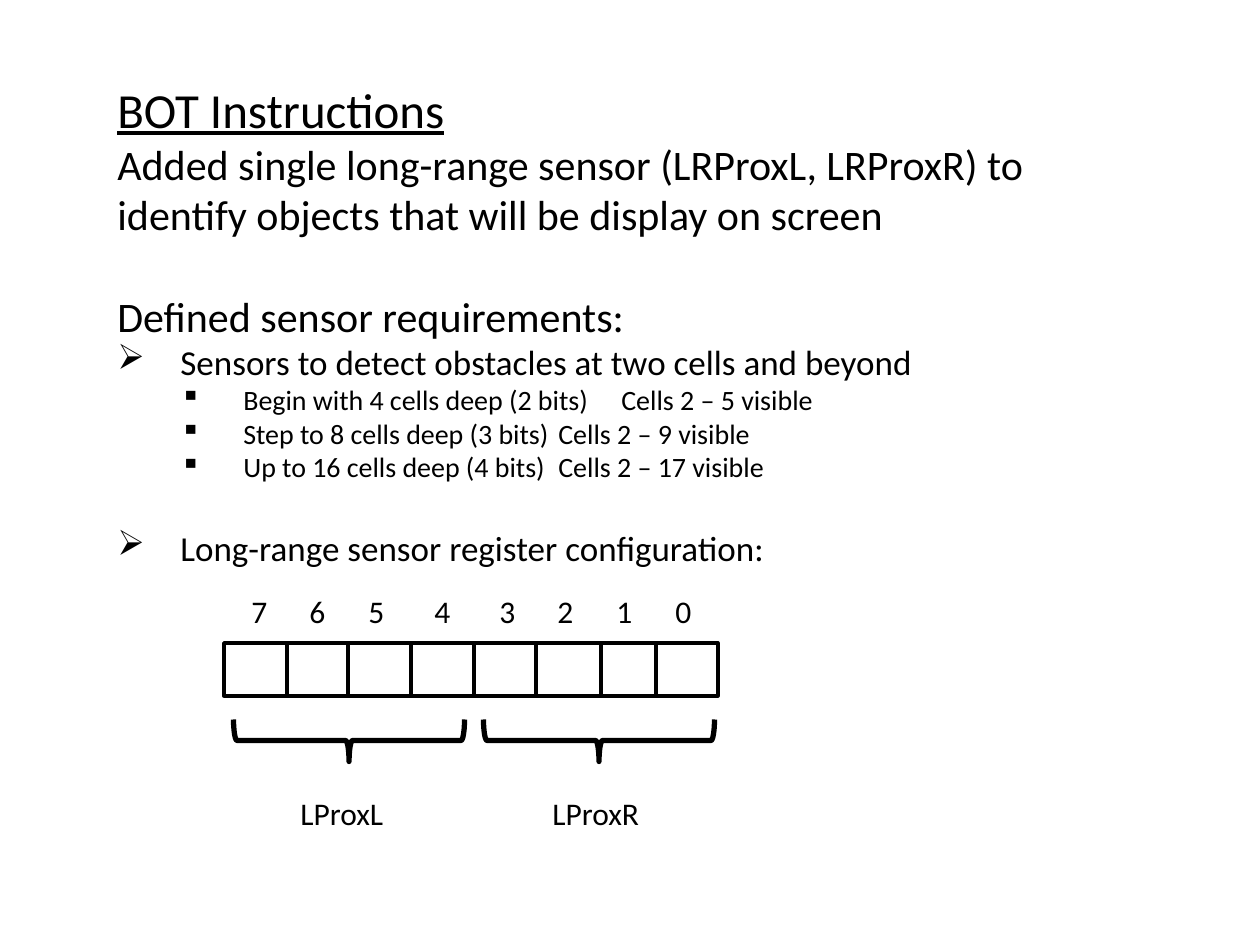
from lxml import etree
from pptx import Presentation
from pptx.dml.color import RGBColor
from pptx.enum.shapes import MSO_CONNECTOR, MSO_SHAPE
from pptx.oxml.ns import qn
from pptx.util import Pt

PX = 914400 // 126
STRAIGHT = MSO_CONNECTOR.STRAIGHT
RECTANGLE = MSO_SHAPE.RECTANGLE
RIGHT_BRACE = MSO_SHAPE.RIGHT_BRACE
FONT = "Calibri"
BLACK = "000000"
INDENT = 63

# text, size, bullet, level, space before in points
INSTRUCTIONS = [
    ("BOT Instructions\vAdded single long-range sensor (LRProxL, LRProxR) to "
     "identify objects that will be display on screen", 24, None, 0, 0),
    ("Defined sensor requirements:", 24, None, 0, 29.3),
    ("Sensors to detect obstacles at two cells and beyond", 20, "➢", 1, 0),
    ("Begin with 4 cells deep (2 bits)\tCells 2 – 5 visible", 16, "▪", 2, 0),
    ("Step to 8 cells deep (3 bits)\tCells 2 – 9 visible", 16, "▪", 2, 0),
    ("Up to 16 cells deep (4 bits)\tCells 2 – 17 visible", 16, "▪", 2, 0),
    ("Long-range sensor register configuration:", 20, "➢", 1, 24.4),
]
TITLE_SIZE = 28
REGISTER = (224, 643, 494, 53)
DIVIDERS = [287, 348, 411, 474, 536, 601, 656]
TABBED_LABELS = [
    (["7", "6", "5", "4", "3", "2", "1", "0"], (239, 586, 475, 50),
     [58, 117, 183, 248, 306, 365, 424]),
    (["LProxL", "LProxR"], (288, 788, 368, 50), [252]),
]
BRACES = [(328, 625, 42, 231), (578, 625, 42, 231)]


def px(*values):
    return [value * PX for value in values]


def color(value):
    return RGBColor.from_string(value)


def style_line(shape, width):
    shape.line.color.rgb = color(BLACK)
    shape.line.width = Pt(width)


def style_runs(paragraph, size):
    for run in paragraph.runs:
        run.font.name = FONT
        run.font.size = Pt(size)
        run.font.color.rgb = color(BLACK)


def add_text_frame(slide, box):
    text_frame = slide.shapes.add_textbox(*px(*box)).text_frame
    text_frame.word_wrap = True
    return text_frame


def add_outline(shapes, kind, box, width):
    shape = shapes.add_shape(kind, *px(*box))
    shape.shadow.inherit = False
    shape.fill.background()
    style_line(shape, width)
    return shape


def add_instructions(slide):
    text_frame = add_text_frame(slide, (105, 73, 1061, 547))
    for index, (text, size, bullet, level, space) in enumerate(INSTRUCTIONS):
        paragraph = text_frame.add_paragraph() if index else text_frame.paragraphs[0]
        paragraph.text = text
        paragraph.space_before = Pt(space)
        style_runs(paragraph, size)
        if bullet:
            paragraph.level = level - 1
            properties = paragraph._p.get_or_add_pPr()
            properties.set("marL", str(level * INDENT * PX))
            properties.set("indent", str(-INDENT * PX))
            etree.SubElement(properties, qn("a:buChar")).set("char", bullet)
    title = text_frame.paragraphs[0].runs[0]
    title.font.size = Pt(TITLE_SIZE)
    title.font.underline = True


def add_register(slide):
    shapes = slide.shapes.add_group_shape().shapes
    add_outline(shapes, RECTANGLE, REGISTER, 2)
    _, top, _, height = REGISTER
    for x in DIVIDERS:
        divider = shapes.add_connector(STRAIGHT, *px(x, top, x, top + height))
        style_line(divider, 2.25)
        etree.SubElement(divider._element.spPr, qn("a:effectLst"))


def add_tabbed_label(slide, words, box, stops):
    paragraph = add_text_frame(slide, box).paragraphs[0]
    paragraph.text = "\t".join(words)
    style_runs(paragraph, 18)
    tabs = etree.SubElement(paragraph._p.get_or_add_pPr(), qn("a:tabLst"))
    for stop in stops:
        etree.SubElement(tabs, qn("a:tab"), pos=str(stop * PX), algn="l")


def main():
    presentation = Presentation()
    presentation.slide_width, presentation.slide_height = px(1260, 945)
    slide = presentation.slides.add_slide(presentation.slide_layouts[6])
    add_instructions(slide)
    add_register(slide)
    for words, box, stops in TABBED_LABELS:
        add_tabbed_label(slide, words, box, stops)
    for box in BRACES:
        add_outline(slide.shapes, RIGHT_BRACE, box, 3).rotation = 90
    presentation.save("out.pptx")


if __name__ == "__main__":
    main()
